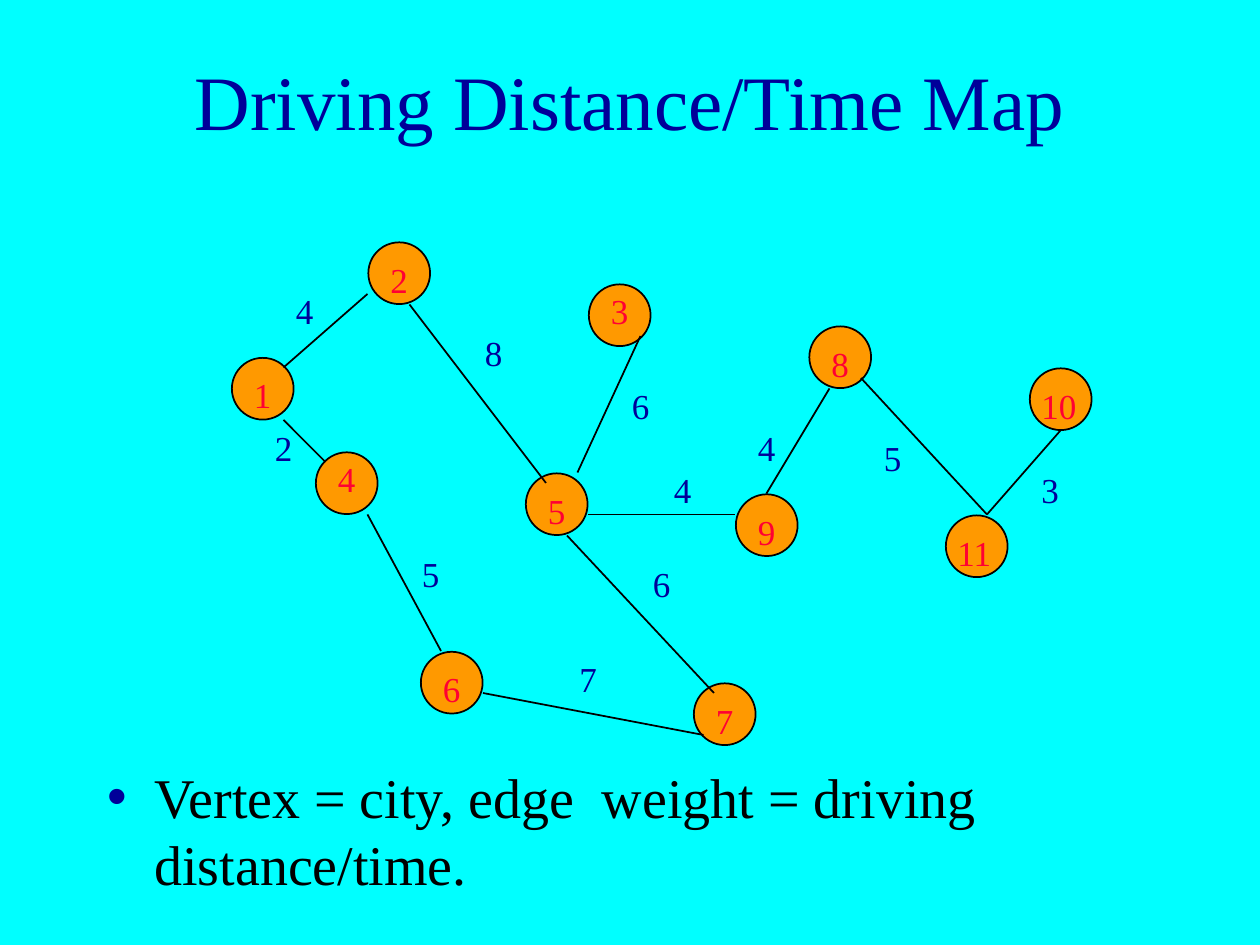
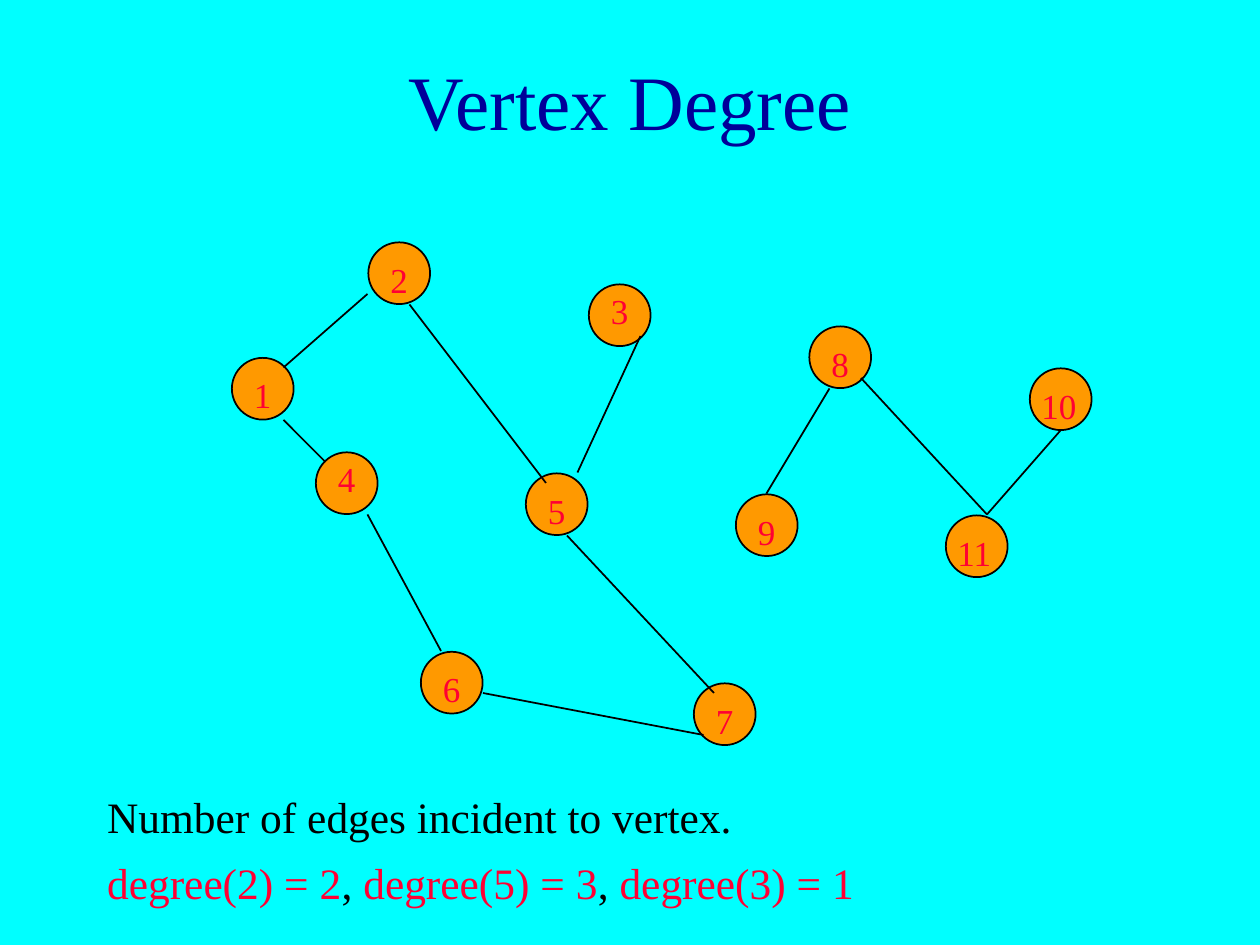
from collections import namedtuple

from lxml.etree import SubElement
from pptx import Presentation
from pptx.dml.color import RGBColor
from pptx.enum.shapes import MSO_CONNECTOR, MSO_SHAPE
from pptx.enum.text import MSO_ANCHOR, MSO_AUTO_SIZE, PP_ALIGN
from pptx.oxml.ns import qn
from pptx.util import Inches, Pt

CYAN = RGBColor(0x00, 0xFF, 0xFF)
NAVY = RGBColor(0x00, 0x00, 0x99)
ORANGE = RGBColor(0xFF, 0x99, 0x00)
RED = RGBColor(0xFF, 0x00, 0x33)
BLACK = RGBColor(0x00, 0x00, 0x00)
FONT = "Times New Roman"

CELLS_PER_INCH = 12
VERTEX_SIZE = 5.88
VERTEX_OFFSET = 0.08
LABEL_HEIGHT = 5.16

# Left and top grid cell of each vertex
VERTICES = {
    1: (22, 34), 2: (35, 23), 3: (56, 27), 4: (30, 43), 5: (50, 45), 6: (40, 62),
    7: (66, 65), 8: (77, 31), 9: (70, 47), 10: (98, 35), 11: (90, 49),
}
RAISED_NUMBERS = (3, 4)
NUMBER_WIDTHS = {10: 6, 11: 10}

Edge = namedtuple("Edge", "start end weight weight_at")
EDGES = [
    Edge((35, 28), (27, 35), 4, (27, 27)),
    Edge((39, 29), (52, 46), 8, (45, 31)),
    Edge((27, 40), (31, 44), 2, (25, 40)),
    Edge((35, 49), (42, 62), 5, (39, 52)),
    Edge((46, 66), (67, 70), 7, (54, 62)),
    Edge((61, 32), (55, 45), 6, (59, 36)),
    Edge((54, 51), (68, 66), 6, (61, 53)),
    Edge((79, 37), (73, 47), 4, (71, 40)),
    Edge((82, 36), (94, 49), 5, (83, 41)),
    Edge((94, 49), (101, 41), 3, (98, 44)),
]
JOINING_EDGE = Edge((56, 49), (70, 49), 4, (63, 44))


def cells(*counts):
    """Convert grid cells to lengths."""
    return [Inches(count / CELLS_PER_INCH) for count in counts]


def place(shape, left, top, width, height):
    shape.left, shape.top, shape.width, shape.height = cells(left, top, width, height)


def add_run(paragraph, text, size, color):
    run = paragraph.add_run()
    run.text = text
    run.font.size = Pt(size)
    run.font.name = FONT
    run.font.color.rgb = color


def style_master(prs):
    """Set the background and the title position for every slide."""
    background = prs.slide_master.background.fill
    background.solid()
    background.fore_color.rgb = CYAN
    place(prs.slide_layouts[1].placeholders[0], 9, 2, 102, 15)


def add_titled_slide(prs, title):
    slide = prs.slides.add_slide(prs.slide_layouts[1])
    frame = slide.shapes.title.text_frame
    frame.auto_size = MSO_AUTO_SIZE.NONE
    frame.vertical_anchor = MSO_ANCHOR.MIDDLE
    heading = frame.paragraphs[0]
    heading.alignment = PP_ALIGN.CENTER
    add_run(heading, title, 44, NAVY)
    return slide


def format_bullet(paragraph, bullet):
    """Set a hanging indent, with a navy bullet or with none."""
    properties = paragraph._p.get_or_add_pPr()
    indent = Inches(0.375)
    properties.set("marL", str(indent))
    properties.set("indent", str(-indent))
    if bullet:
        color = SubElement(properties, qn("a:buClr"))
        SubElement(color, qn("a:srgbClr"), val=str(NAVY))
        SubElement(properties, qn("a:buChar"), char=bullet)
    else:
        SubElement(properties, qn("a:buNone"))


def fill_body(slide, top, height, size, lines, bullet=None):
    """Write lines, each a list of (text, color) runs, into the body."""
    body = slide.placeholders[1]
    place(body, 9, top, 102, height)
    frame = body.text_frame
    frame.auto_size = MSO_AUTO_SIZE.NONE
    for index, line in enumerate(lines):
        paragraph = frame.add_paragraph() if index else frame.paragraphs[0]
        format_bullet(paragraph, bullet)
        paragraph.space_before = Pt(8 if index else 0)
        for text, color in line:
            add_run(paragraph, text, size, color)


def add_vertex(graph, left, top):
    vertex = graph.add_shape(
        MSO_SHAPE.OVAL,
        *cells(left + VERTEX_OFFSET, top + VERTEX_OFFSET, VERTEX_SIZE, VERTEX_SIZE))
    vertex.shadow.inherit = False
    vertex.fill.solid()
    vertex.fill.fore_color.rgb = ORANGE
    vertex.line.color.rgb = BLACK
    vertex.line.width = Pt(1)


def add_edge(graph, edge):
    line = graph.add_connector(MSO_CONNECTOR.STRAIGHT, *cells(*edge.start, *edge.end))
    line.line.color.rgb = BLACK
    line.line.width = Pt(1)
    SubElement(line._element.spPr, qn("a:effectLst"))


def add_label(graph, number, left, top, width, color):
    label = graph.add_textbox(*cells(left, top, width, LABEL_HEIGHT))
    frame = label.text_frame
    frame.word_wrap = True
    frame.auto_size = MSO_AUTO_SIZE.SHAPE_TO_FIT_TEXT
    add_run(frame.paragraphs[0], str(number), 20, color)


def add_graph(slide, edges, weighted):
    graph = slide.shapes.add_group_shape().shapes
    for left, top in VERTICES.values():
        add_vertex(graph, left, top)
    for edge in edges:
        add_edge(graph, edge)
    for number, (left, top) in VERTICES.items():
        shift = 0 if number in NUMBER_WIDTHS else 1
        drop = 0 if number in RAISED_NUMBERS else 1
        add_label(graph, number, left + shift, top + drop,
                  NUMBER_WIDTHS.get(number, 3), RED)
    if weighted:
        for edge in edges:
            add_label(graph, edge.weight, *edge.weight_at, 4, NAVY)


def main():
    prs = Presentation()
    prs.slide_width, prs.slide_height = Inches(10), Inches(7.5)
    style_master(prs)

    distance_map = add_titled_slide(prs, "Driving Distance/Time Map")
    fill_body(distance_map, 72, 15, 32, [
        [("Vertex = city, edge  weight = driving distance/time.", BLACK)],
    ], bullet="•")
    add_graph(distance_map, EDGES + [JOINING_EDGE], weighted=True)

    degrees = add_titled_slide(prs, "Vertex Degree")
    fill_body(degrees, 74.64, 12.36, 24.8, [
        [("Number of edges incident to vertex.", BLACK)],
        [("degree(2) = 2", RED), (", ", BLACK), ("degree(5) = 3", RED),
         (", ", BLACK), ("degree(3) = 1", RED)],
    ])
    add_graph(degrees, EDGES, weighted=False)

    prs.save("out.pptx")


if __name__ == "__main__":
    main()
